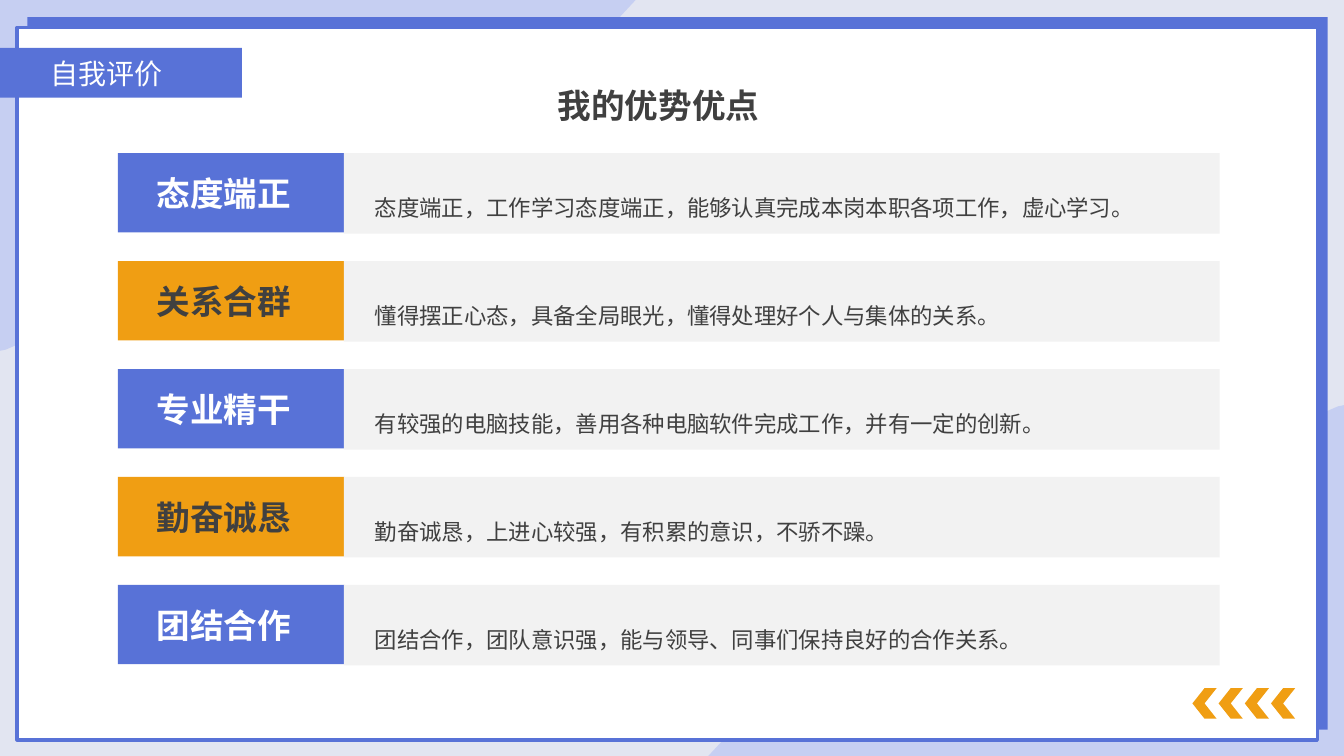
from pptx import Presentation
from pptx import util as u
from pptx.dml.color import RGBColor
from pptx.enum import shapes, text

BLUE, ORANGE, PALE_BLUE = "5872D7", "F09E13", "C6CFF2"
WHITE, GREY, DARK = "FFFFFF", "F2F2F2", "404040"
WIDTH, HEIGHT = 33.87, 19.05

deck = Presentation()
deck.slide_width, deck.slide_height = u.Cm(WIDTH), u.Cm(HEIGHT)
slide = deck.slides.add_slide(deck.slide_layouts[5])
slide.background.fill.solid()
slide.background.fill.fore_color.rgb = RGBColor.from_string("E2E5F1")


def block(x, y, w, h, color, preset=shapes.MSO_SHAPE.RECTANGLE):
    shape = slide.shapes.add_shape(preset, u.Cm(x), u.Cm(y), u.Cm(w), u.Cm(h))
    shape.shadow.inherit = False
    shape.fill.solid()
    shape.fill.fore_color.rgb = RGBColor.from_string(color)
    shape.line.fill.background()
    return shape


def write(shape, words, size, color, bold=False, font="Arial", inset=0.25,
          align=text.PP_ALIGN.LEFT):
    frame = shape.text_frame
    frame.word_wrap = True
    frame.auto_size = text.MSO_AUTO_SIZE.NONE
    frame.vertical_anchor = text.MSO_ANCHOR.MIDDLE
    frame.margin_left = u.Cm(inset)
    frame.margin_top = frame.margin_bottom = 0
    frame.text = words
    line = frame.paragraphs[0]
    line.alignment = align
    line.font.size, line.font.bold, line.font.name = u.Pt(size), bold, font
    line.font.color.rgb = RGBColor.from_string(color)
    return frame


wave_curves = [
    [(16.02, 0), (15.62, 0.43), (14.22, 1.88), (12.8, 3.15), (11.35, 3.94)],
    [(11.35, 3.94), (9.04, 5.21), (6.25, 4.45), (4.27, 5.28)],
    [(4.27, 5.28), (2.51, 6.02), (1.88, 8.15), (0.15, 8.81)],
]
wave = [wave_curves[0].pop(0)]
for start, pull, push, end in wave_curves:
    for step in range(21):
        t = step / 20
        weights = ((1 - t) ** 3, 3 * t * (1 - t) ** 2, 3 * t ** 2 * (1 - t), t ** 3)
        wave.append(tuple(sum(k * p[axis] for k, p in zip(weights, (start, pull, push, end)))
                          for axis in (0, 1)))
wave += [(0, 8.84), (0, 0)]
opposite_wave = [(WIDTH - x, HEIGHT - y) for x, y in wave]
for outline in (opposite_wave, wave):
    points = [(u.Cm(x), u.Cm(y)) for x, y in outline]
    builder = slide.shapes.build_freeform(*points[0])
    builder.add_line_segments(points[1:])
    corner = builder.convert_to_shape()
    corner.shadow.inherit = False
    corner.fill.solid()
    corner.fill.fore_color.rgb = RGBColor.from_string(PALE_BLUE)
    corner.line.fill.background()

block(0.69, 0.43, 32.77, 17.96, BLUE)
page = block(0.43, 0.69, 32.77, 17.96, WHITE)
page.line.color.rgb = RGBColor.from_string(BLUE)
page.line.width = u.Pt(2.25)

section = block(0, 1.21, 6.1, 1.25, BLUE)
write(section, "自我评价", 20, WHITE, font="Noto Sans CJK SC", inset=1.27)

for i in range(4):
    arrow = block(30.05 + 0.66 * i, 17.34, 0.61, 0.77, ORANGE, shapes.MSO_SHAPE.CHEVRON)
    arrow.rotation = 180

heading = slide.shapes.title
heading.left, heading.top = u.Cm(6.65), u.Cm(2.01)
heading.width, heading.height = u.Cm(19.89), u.Cm(1.28)
write(heading, "我的优势优点", 24, DARK, bold=True, align=text.PP_ALIGN.CENTER)
heading.element.getparent().append(heading.element)

strengths = [
    ("态度端正", "态度端正，工作学习态度端正，能够认真完成本岗本职各项工作，虚心学习。"),
    ("关系合群", "懂得摆正心态，具备全局眼光，懂得处理好个人与集体的关系。"),
    ("专业精干", "有较强的电脑技能，善用各种电脑软件完成工作，并有一定的创新。"),
    ("勤奋诚恳", "勤奋诚恳，上进心较强，有积累的意识，不骄不躁。"),
    ("团结合作", "团结合作，团队意识强，能与领导、同事们保持良好的合作关系。"),
]
for i, (strength, detail) in enumerate(strengths):
    top = 3.86 + 2.72 * i
    fill, ink = ((BLUE, WHITE), (ORANGE, DARK))[i % 2]
    write(block(2.97, top, 5.71, 2, fill), strength, 24, ink, bold=True, inset=0.98)
    detail_frame = write(block(8.67, top, 22.07, 2.03, GREY), detail, 16, DARK, inset=0.78)
    detail_frame.vertical_anchor = text.MSO_ANCHOR.TOP
    detail_frame.margin_top = u.Cm(0.35)
    detail_frame.paragraphs[0].line_spacing = 2.0

deck.save("out.pptx")
